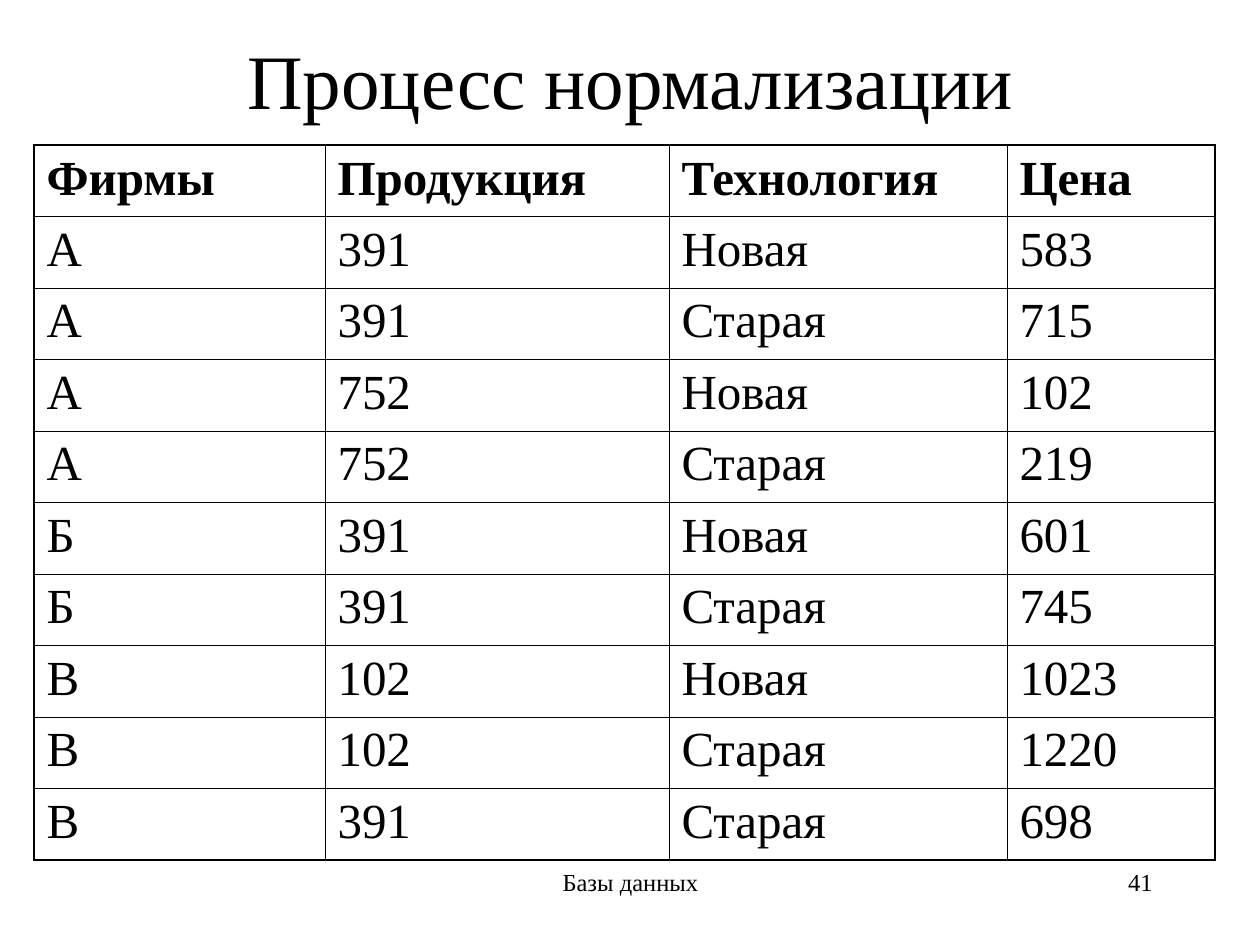
"""Build the slide on the process of normalization."""
from typing import NamedTuple

from lxml import etree
from pptx import Presentation
from pptx.dml.color import RGBColor
from pptx.enum.text import MSO_ANCHOR, MSO_AUTO_SIZE, PP_ALIGN
from pptx.oxml.ns import qn
from pptx.util import Emu, Pt

BLACK = RGBColor(0, 0, 0)
WHITE = RGBColor(255, 255, 255)
FONT = "Times New Roman"
LEFT, MID, RIGHT = PP_ALIGN.LEFT, PP_ALIGN.CENTER, PP_ALIGN.RIGHT
CENTER = MSO_ANCHOR.MIDDLE
NO_FIT = MSO_AUTO_SIZE.NONE
THIN, THICK = Pt(0.45), Pt(1.08)


class Box(NamedTuple):
    left: int
    top: int
    width: int
    height: int


class Note(NamedTuple):
    text: str
    box: Box
    align: PP_ALIGN


TITLE = Box(95, 0, 1071, 157)
GRID = Box(34, 145, 1181, 715)
WIDTHS = (291, 344, 338, 208)
ROWS = (
    ("Фирмы", "Продукция", "Технология", "Цена"),
    ("А", "391", "Новая", "583"),
    ("А", "391", "Старая", "715"),
    ("А", "752", "Новая", "102"),
    ("А", "752", "Старая", "219"),
    ("Б", "391", "Новая", "601"),
    ("Б", "391", "Старая", "745"),
    ("В", "102", "Новая", "1023"),
    ("В", "102", "Старая", "1220"),
    ("В", "391", "Старая", "698"),
)
NOTES = (
    Note("Базы данных", Box(431, 861, 399, 63), MID),
    Note("41", Box(903, 861, 262, 63), RIGHT),
)


def px(size: int) -> Emu:
    return Emu(round(size * 914400 / 126))


def place(box: Box) -> list[Emu]:
    return [px(side) for side in box]


def write(frame, text: str, size: int, align: PP_ALIGN, bold: bool = False) -> None:
    para = frame.paragraphs[0]
    para.alignment = align
    run = para.add_run()
    run.text = text
    run.font.name = FONT
    run.font.size = Pt(size)
    run.font.bold = bold
    run.font.color.rgb = BLACK


def add_title(slide, text: str) -> None:
    title = slide.shapes.title
    title.left, title.top, title.width, title.height = place(TITLE)
    frame = title.text_frame
    frame.auto_size = NO_FIT
    frame.vertical_anchor = CENTER
    write(frame, text, 44, MID)


def add_note(slide, note: Note) -> None:
    frame = slide.shapes.add_textbox(*place(note.box)).text_frame
    frame.word_wrap = True
    write(frame, note.text, 14, note.align)


def edge(cell, sides: dict[str, Emu]) -> None:
    props = cell._tc.get_or_add_tcPr()
    for spot, (side, width) in enumerate(sides.items()):
        line = etree.Element(qn(f"a:ln{side}"), w=str(width))
        fill = etree.SubElement(line, qn("a:solidFill"))
        etree.SubElement(fill, qn("a:srgbClr"), val=str(BLACK))
        props.insert(spot, line)


def add_grid(slide) -> None:
    last_row, last_col = len(ROWS) - 1, len(WIDTHS) - 1
    table = slide.shapes.add_table(len(ROWS), len(WIDTHS), *place(GRID)).table
    table.horz_banding = False
    for col, width in zip(table.columns, WIDTHS):
        col.width = px(width)
    for r, row in enumerate(ROWS):
        for c, text in enumerate(row):
            cell = table.cell(r, c)
            cell.fill.solid()
            cell.fill.fore_color.rgb = WHITE
            edge(cell, {
                "L": THICK if c == 0 else THIN,
                "R": THICK if c == last_col else THIN,
                "T": THICK if r == 0 else THIN,
                "B": THICK if r == last_row else THIN,
            })
            write(cell.text_frame, text, 28, LEFT, r == 0)


def main() -> None:
    deck = Presentation()
    deck.slide_width, deck.slide_height = px(1260), px(945)
    slide = deck.slides.add_slide(deck.slide_layouts[5])
    for note in NOTES:
        add_note(slide, note)
    add_title(slide, "Процесс нормализации")
    add_grid(slide)
    deck.save("out.pptx")


if __name__ == "__main__":
    main()
